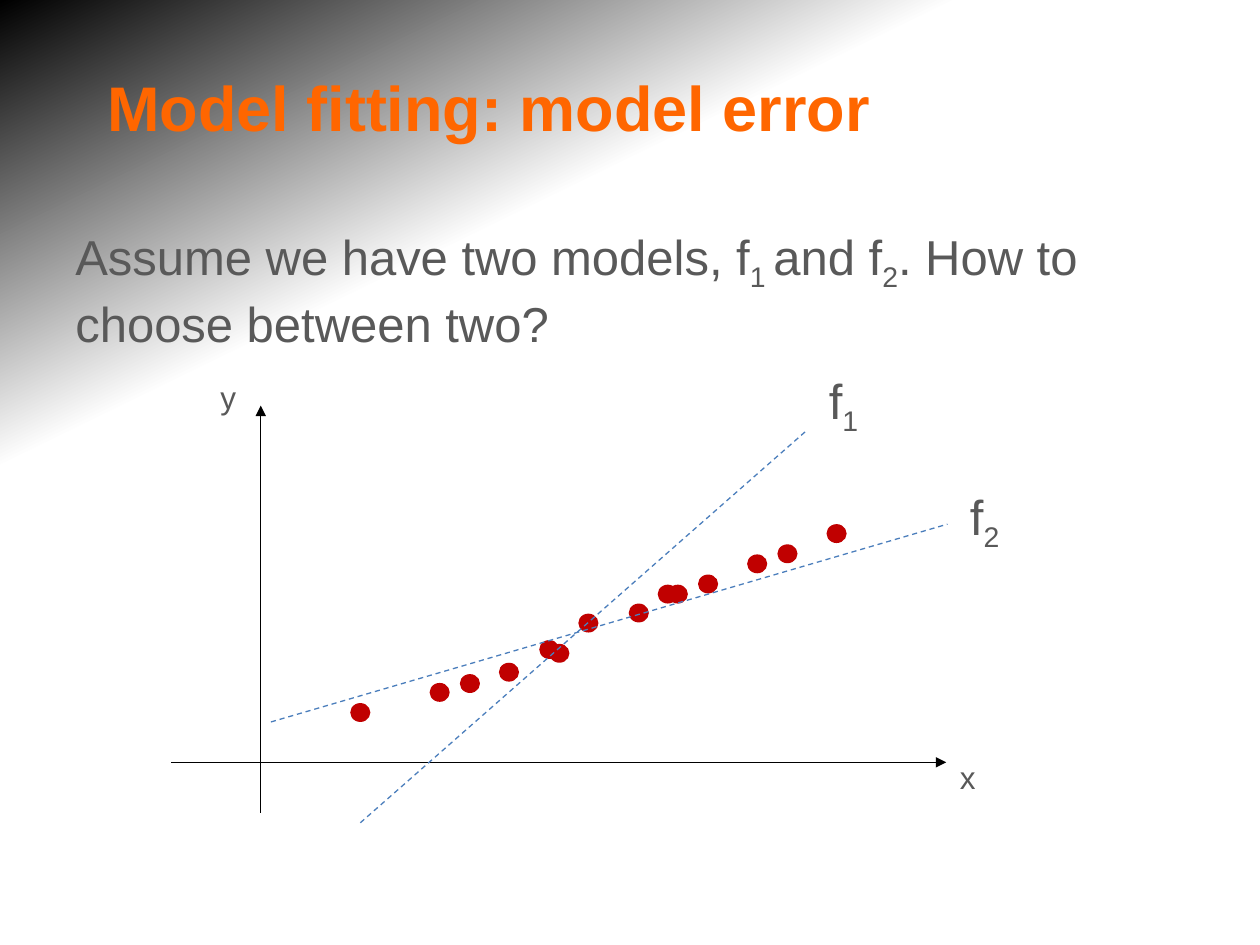
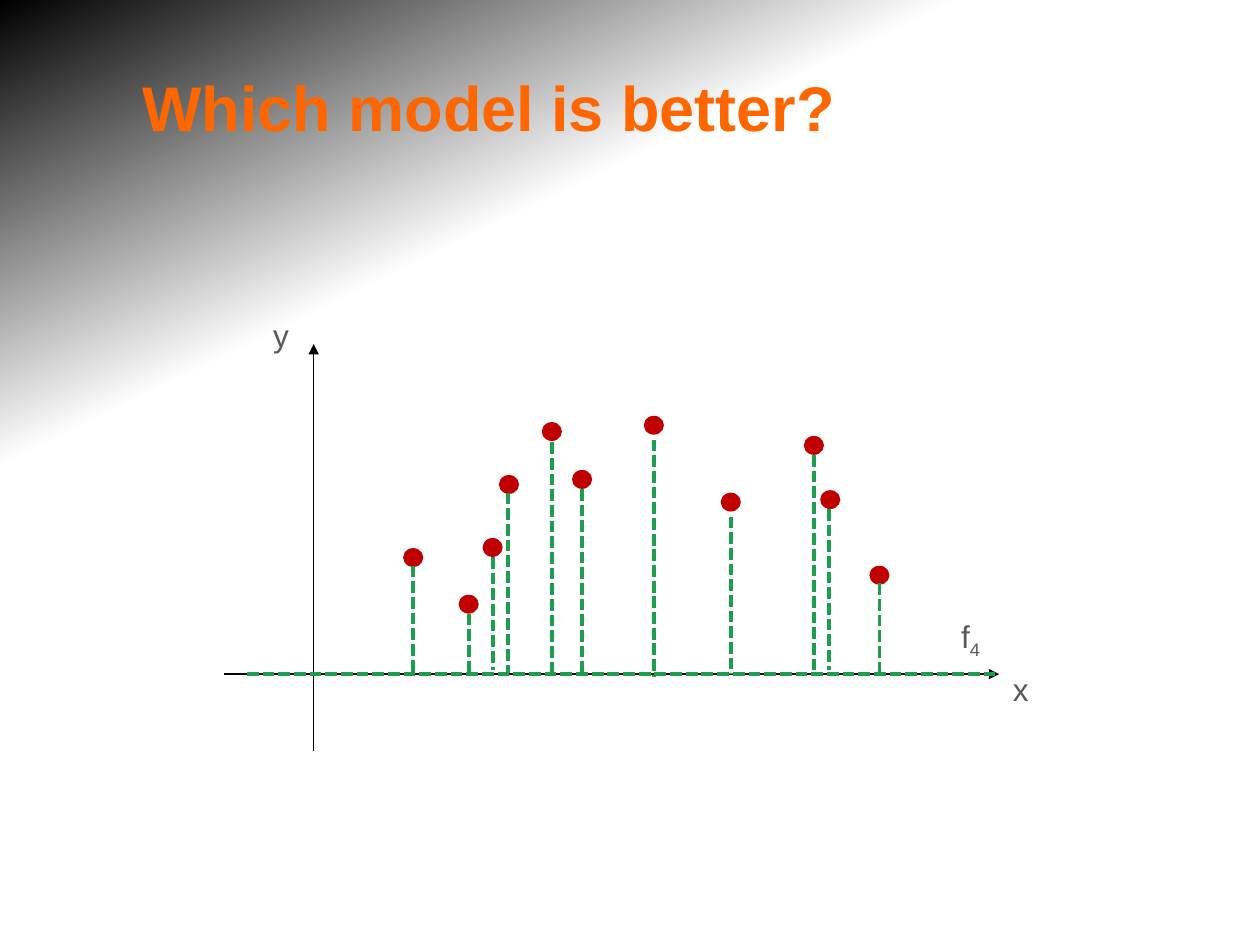
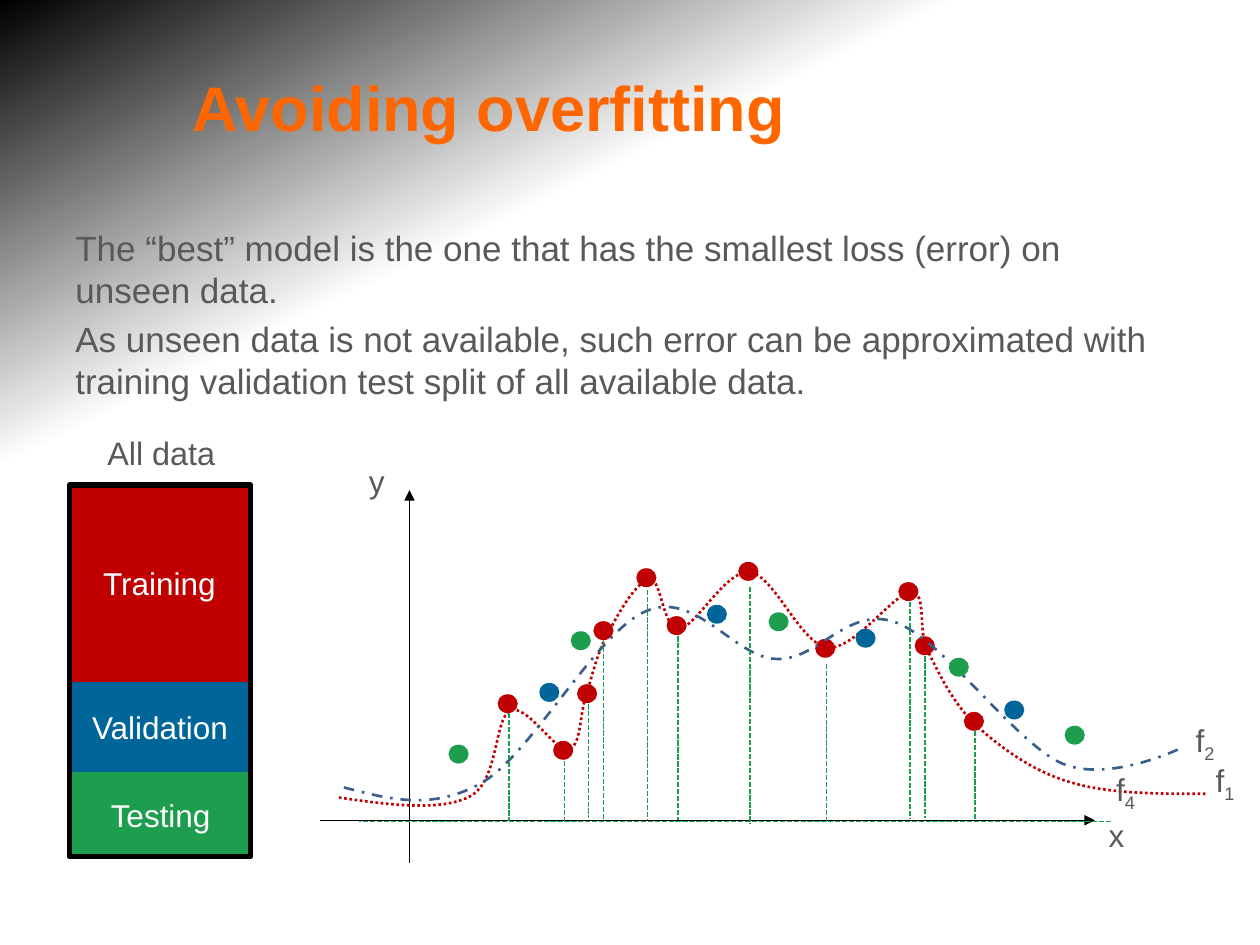
from lxml.etree import SubElement
from pptx import Presentation
from pptx.dml.color import RGBColor
from pptx.enum.dml import MSO_LINE
from pptx.enum.shapes import MSO_CONNECTOR, MSO_SHAPE
from pptx.enum.text import MSO_ANCHOR, MSO_AUTO_SIZE, PP_ALIGN
from pptx.oxml.ns import qn
from pptx.util import Pt

SCALE = 9144  # 100 px to the inch
FONT = "Arial"
ORANGE, GRAY, BLACK, WHITE = "FF6600", "595959", "000000", "FFFFFF"
RED, BLUE, GREEN = "C00000", "006699", "1D9D4E"
SKY, NAVY = "4B7EBC", "3A5F8C"
DASH, SHORT = MSO_LINE.DASH, MSO_LINE.SQUARE_DOT
DOTS, MIXED = MSO_LINE.ROUND_DOT, MSO_LINE.DASH_DOT
RECT, OVAL = MSO_SHAPE.RECTANGLE, MSO_SHAPE.OVAL
LEFT, CENTER, MIDDLE = PP_ALIGN.LEFT, PP_ALIGN.CENTER, MSO_ANCHOR.MIDDLE
GROW = MSO_AUTO_SIZE.SHAPE_TO_FIT_TEXT

STOPS = [(0, WHITE, 100), (70, WHITE, 100), (100, BLACK, 41)]

FIT = [(278, 558), (365, 535), (396, 526), (436, 511), (341, 542), (428, 508), (459, 487),
       (499, 479), (530, 464), (522, 464), (554, 456), (593, 440), (617, 432), (656, 416)]
TRAIN = [(383, 427), (364, 472), (651, 389), (430, 335), (454, 373), (511, 330),
         (572, 391), (690, 449), (638, 346), (396, 377), (320, 435)]
DROPS = [(328, 449, 535), (372, 487, 535), (391, 442, 532), (438, 351, 534),
         (403, 391, 534), (462, 388, 534), (519, 349, 537), (580, 410, 535),
         (646, 361, 532), (658, 404, 532), (698, 463, 535)]
VALID = [(561, 480), (679, 499), (797, 556), (428, 542)]
TEST = [(356, 591), (610, 486), (753, 522), (453, 501), (845, 576)]

# Bezier points: a start, then two handles and an end for each arc
WIGGLY = [(269, 633), (310, 639), (350, 644), (373, 632), (396, 620), (392, 570), (405, 564),
          (418, 558), (441, 597), (451, 595), (461, 593), (460, 568), (465, 552),
          (470, 537), (474, 517), (483, 502), (491, 486), (506, 460), (516, 460),
          (525, 459), (526, 500), (539, 499), (552, 498), (576, 452), (595, 454),
          (615, 457), (635, 511), (657, 514), (678, 516), (710, 470), (723, 470),
          (736, 470), (728, 499), (736, 516), (745, 534), (756, 558), (775, 576),
          (794, 593), (819, 612), (850, 621), (880, 630), (919, 630), (957, 630)]
SMOOTH = [(273, 625), (308, 634), (343, 644), (383, 621), (423, 597), (474, 501), (513, 485),
          (552, 468), (583, 522), (616, 523), (649, 525), (673, 480), (711, 494),
          (749, 508), (805, 589), (843, 606), (881, 622), (939, 593), (939, 593)]


def px(*nums):
    return [round(n * SCALE) for n in nums]


def rgb(code):
    return RGBColor.from_string(code)


def shift(spots, dx, dy):
    """Move spots whose first number is x and whose others are y."""
    return [(x + dx, *(y + dy for y in ys)) for x, *ys in spots]


class Deck:
    """Holds the style and the current slide."""

    def __init__(self):
        self.prs = Presentation()
        self.prs.slide_width, self.prs.slide_height = px(1000, 750)
        self.slide = None
        self.paint()

    def paint(self):
        """Give the master its gradient background."""
        master = self.prs.slide_master
        fill = master.background.fill
        fill.gradient()
        fill.gradient_angle = 116
        stops = master.element.find(".//" + qn("a:gsLst"))
        for stop in list(stops):
            stops.remove(stop)
        for place, color, alpha in STOPS:
            stop = SubElement(stops, qn("a:gs"), pos=str(place * 1000))
            tone = SubElement(stop, qn("a:srgbClr"), val=color)
            if alpha < 100:
                SubElement(tone, qn("a:alpha"), val=str(alpha * 1000))

    def style(self, para, size, color=GRAY, align=LEFT, bold=False):
        para.alignment = align
        for run in para.runs:
            font = run.font
            font.name, font.size, font.bold = FONT, Pt(size), bold
            font.color.rgb = rgb(color)

    def start(self, title):
        self.slide = self.prs.slides.add_slide(self.prs.slide_layouts[5])
        head = self.slide.shapes.title
        head.left, head.top, head.width, head.height = px(50, 33, 674, 103)
        frame = head.text_frame
        frame.text = title
        frame.vertical_anchor = MIDDLE
        frame.margin_left, frame.margin_right = px(12, 10)
        self.style(frame.paragraphs[0], 36, ORANGE, CENTER, True)

    def text(self, place, lines, size, align=LEFT, wrap=True):
        """Write lines, in which each second part between bars is a subscript."""
        frame = self.slide.shapes.add_textbox(*px(*place)).text_frame
        frame.word_wrap, frame.auto_size = wrap, GROW
        for i, line in enumerate(lines):
            para = frame.add_paragraph() if i else frame.paragraphs[0]
            if i:
                para.space_before = Pt(size * 0.2)
            for k, part in enumerate(line.split("|")):
                run = para.add_run()
                run.text = part
                if k % 2:
                    run.font._element.set("baseline", "-25000")
            self.style(para, size, align=align)

    def label(self, x, y, word, size=18):
        width, high = (46, 57) if size > 18 else (39, 45)
        self.text((x, y, width, high), [word], size, wrap=False)

    def line(self, start, end, color=BLACK, width=0.75, dash=None, arrow=False):
        link = self.slide.shapes.add_connector(MSO_CONNECTOR.STRAIGHT, *px(*start, *end))
        self.stroke(link, color, width, dash)
        props = link.element.spPr
        if arrow:
            SubElement(props.find(qn("a:ln")), qn("a:tailEnd"), type="triangle")
        SubElement(props, qn("a:effectLst"))

    def stroke(self, shape, color, width, dash=None):
        shape.line.color.rgb = rgb(color)
        shape.line.width = Pt(width)
        if dash:
            shape.line.dash_style = dash

    def axes(self, x, y, up, down):
        self.line((x, y + down), (x, y - up), arrow=True)
        self.line((x - 71, y), (x + 544, y), arrow=True)
        self.label(x + 545, y - 8, "x")
        self.label(x - 42, y - up - 27, "y")

    def dots(self, spots, color):
        for x, y in spots:
            dot = self.slide.shapes.add_shape(OVAL, *px(x, y, 16, 15))
            dot.shadow.inherit = False
            dot.fill.solid()
            dot.fill.fore_color.rgb = rgb(color)
            dot.line.fill.background()

    def drops(self, spans, width):
        for x, top, base in spans:
            self.line((x, top), (x, base), GREEN, width, SHORT)

    def curve(self, place, spots, color, dash):
        """Draw a chain of cubic arcs that fills the given place."""
        pen = self.slide.shapes.build_freeform(*px(*spots[0]))
        pen.add_line_segments([px(*spot) for spot in spots[3::3]], close=False)
        shape = pen.convert_to_shape()
        left, top, width, high = px(*place)
        shape.left, shape.top, shape.width, shape.height = left, top, width, high
        track = shape.element.find(".//" + qn("a:path"))
        track.set("w", str(width))
        track.set("h", str(high))
        for step in list(track):
            track.remove(step)
        for i, spot in enumerate(spots):
            if i == 0:
                step = SubElement(track, qn("a:moveTo"))
            elif i % 3 == 1:
                step = SubElement(track, qn("a:cubicBezTo"))
            x, y = px(*spot)
            SubElement(step, qn("a:pt"), x=str(x - left), y=str(y - top))
        shape.shadow.inherit = False
        shape.fill.background()
        self.stroke(shape, color, 1.5, dash)

    def box(self, group, place, color, width, word=None):
        """Add a filled box with a word, or a bare frame without one."""
        shape = group.shapes.add_shape(RECT, *px(*place))
        shape.shadow.inherit = False
        self.stroke(shape, color, width)
        if not word:
            shape.fill.background()
            return
        shape.fill.solid()
        shape.fill.fore_color.rgb = rgb(color)
        frame = shape.text_frame
        frame.text = word
        frame.vertical_anchor = MIDDLE
        self.style(frame.paragraphs[0], 18, WHITE, CENTER)


def error(deck):
    deck.start("Model fitting: model error")
    deck.text((50, 175, 900, 104),
              ["Assume we have two models, f|1 |and f|2|. How to choose between two?"], 28)
    deck.axes(207, 605, 283, 40)
    deck.dots(FIT, RED)
    deck.line((215, 573), (752, 416), SKY, dash=DASH)
    deck.line((286, 653), (641, 341), SKY, dash=DASH)
    deck.label(648, 289, "f|1", 28)
    deck.label(760, 381, "f|2", 28)


def better(deck):
    deck.start("Which model is better?")
    deck.axes(249, 535, 262, 61)
    deck.dots(TRAIN, RED)
    deck.drops(DROPS, 2.25)
    deck.line((790, 535), (194, 535), GREEN, 2.25, SHORT)
    deck.label(753, 485, "f|4")


def avoid(deck):
    deck.start("Avoiding overfitting")
    deck.text((50, 175, 900, 151), [
        "The “best” model is the one that has the smallest loss (error) on unseen data.",
        "As unseen data is not available, such error can be approximated with "
        "training validation test split of all available data."], 20)
    deck.axes(325, 651, 262, 34)
    deck.dots(shift(TRAIN, 75, 116), RED)
    deck.curve((269, 454, 689, 185), WIGGLY, RED, DOTS)
    deck.curve((273, 482, 666, 154), SMOOTH, NAVY, MIXED)
    deck.drops(shift(DROPS, 76, 117), 1)
    deck.line((882, 652), (285, 652), GREEN, 1, SHORT)
    deck.dots(VALID, BLUE)
    deck.dots(TEST, GREEN)
    deck.text((66, 339, 124, 39), ["All data"], 18.5, CENTER)
    stack = deck.slide.shapes.add_group_shape()
    for word, left, top, width, high, color in [("Training", 55, 385, 143, 156, RED),
                                                ("Validation", 56, 543, 142, 68, BLUE),
                                                ("Testing", 57, 614, 141, 65, GREEN)]:
        deck.box(stack, (left, top, width, high), color, 2, word)
    deck.box(stack, (55, 385, 144, 295), BLACK, 3)
    deck.label(955, 599, "f|1")
    deck.label(939, 567, "f|2")
    deck.label(876, 606, "f|4")


def main():
    deck = Deck()
    for build in (error, better, avoid):
        build(deck)
    deck.prs.save("out.pptx")


if __name__ == "__main__":
    main()
